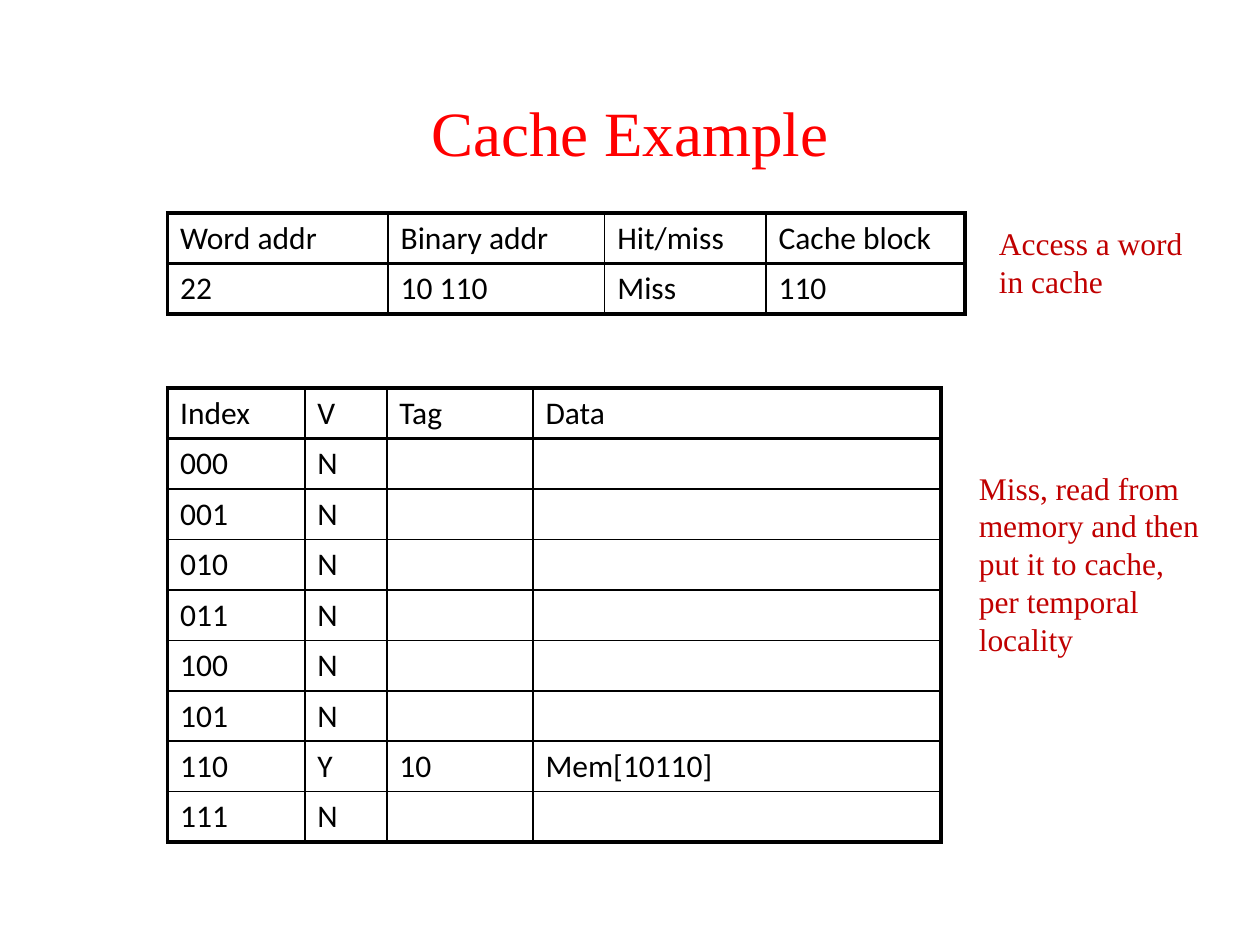
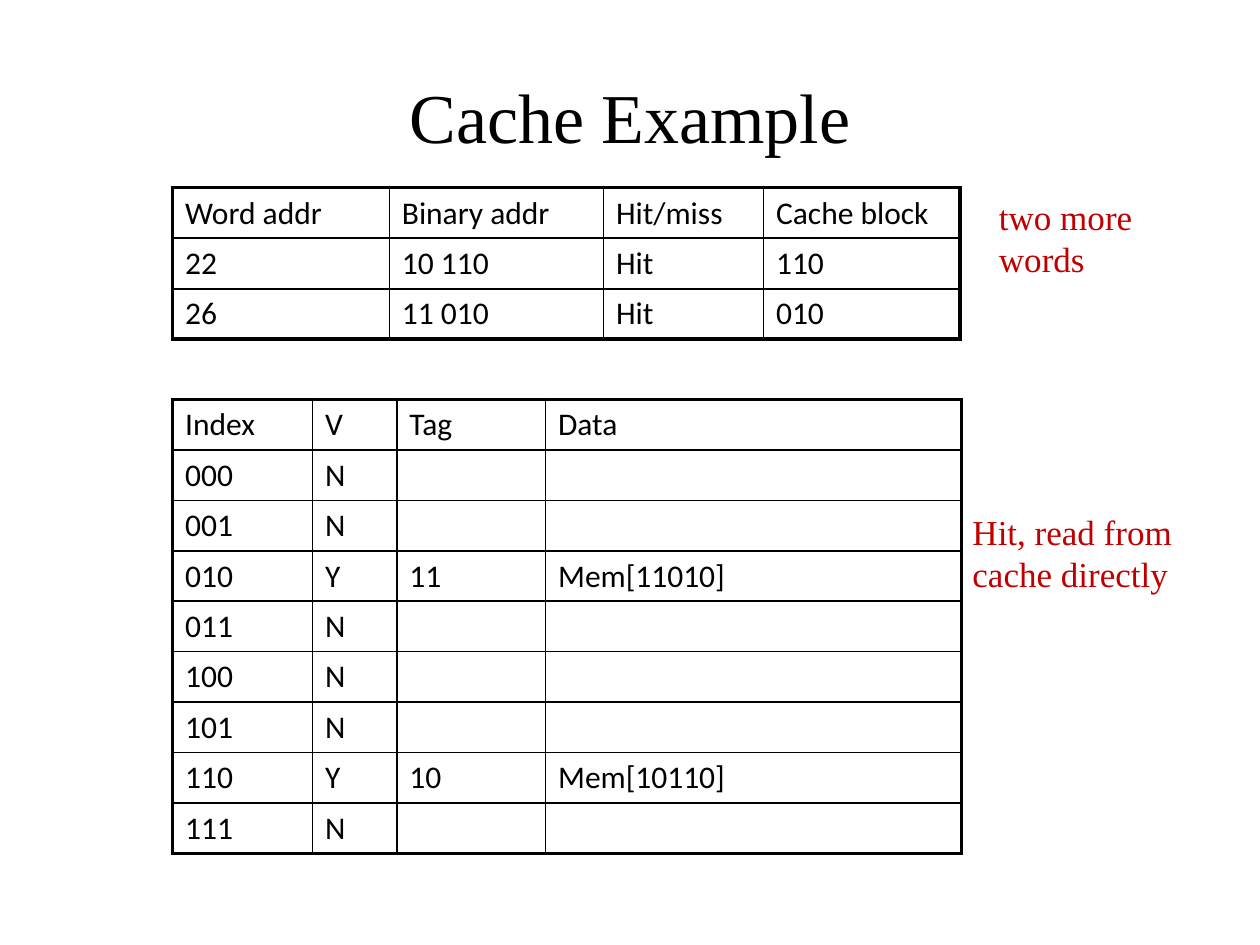
from lxml.etree import SubElement
from pptx import Presentation
from pptx.dml.color import RGBColor
from pptx.enum.text import MSO_ANCHOR as Anchor, PP_ALIGN as Align
from pptx.oxml.ns import qn
from pptx.util import Inches, Pt

BLACK = RGBColor(0x00, 0x00, 0x00)
TITLE_RED = RGBColor(0xFF, 0x00, 0x00)
NOTE_RED = RGBColor(0xC0, 0x00, 0x00)
NEW_ENTRY_BLUE = RGBColor(0x33, 0x33, 0xCC)
FONT = "Times New Roman"
TABLE_SIZE = 18
OUTER, HEADER, THIN = 2.25, 1.5, 1  # table line widths in points

ACCESS_HEADINGS = ("Word addr", "Binary addr", "Hit/miss", "Cache block")
CACHE_HEADINGS = ("Index", "V", "Tag", "Data")


def style_runs(para, size, color=BLACK, bold=False):
    for span in para.runs:
        span.font.name = FONT
        span.font.size = Pt(size)
        span.font.color.rgb = color
        span.font.bold = bold


def add_text(page, text, left, top, width, height, size, color):
    box = page.shapes.add_textbox(Inches(left), Inches(top), Inches(width), Inches(height))
    box.text_frame.word_wrap = True
    box.text_frame.text = text
    style_runs(box.text_frame.paragraphs[0], size, color)
    return box.text_frame


def add_title(page, height, size, color):
    frame = add_text(page, "Cache Example", 0.75, 0.67, 8.5, height, size, color)
    frame.vertical_anchor = Anchor.MIDDLE
    frame.paragraphs[0].alignment = Align.CENTER


def set_borders(cell, widths):
    """Draw black lines on the left, right, top and bottom of a cell."""
    properties = cell._tc.get_or_add_tcPr()
    for side, width in zip("LRTB", widths):
        line = SubElement(properties, qn(f"a:ln{side}"), w=str(Pt(width)))
        fill = SubElement(line, qn("a:solidFill"))
        SubElement(fill, qn("a:srgbClr"), val=str(BLACK))


def fill_cell(cell, text, align, highlighted):
    para = cell.text_frame.paragraphs[0]
    para.alignment = align
    if text:
        cell.text = text
        color = NEW_ENTRY_BLUE if highlighted else BLACK
        style_runs(para, TABLE_SIZE, color, highlighted)
    else:
        # An empty cell keeps the row height of the table's text size
        end = SubElement(para._p, qn("a:endParaRPr"), sz=str(TABLE_SIZE * 100))
        SubElement(end, qn("a:latin"), typeface=FONT)


def add_grid(page, rows, left, top, widths, row_height, row_line, align, highlight=None):
    """Add a table framed in thick lines; highlight is the first value of the row to stress."""
    frame = page.shapes.add_table(
        len(rows), len(widths), Inches(left), Inches(top),
        Inches(sum(widths)), Inches(row_height * len(rows)))
    table = frame.table
    table.first_row = table.horz_banding = False
    for column, width in zip(table.columns, widths):
        column.width = Inches(width)
    across = [OUTER, HEADER] + [row_line] * (len(rows) - 2) + [OUTER]
    down = [OUTER] + [THIN] * (len(widths) - 1) + [OUTER]
    for r, values in enumerate(rows):
        table.rows[r].height = Inches(row_height)
        for c, text in enumerate(values):
            cell = table.cell(r, c)
            fill_cell(cell, text, align, values[0] == highlight)
            set_borders(cell, (down[c], down[c + 1], across[r], across[r + 1]))
            cell.fill.background()


def add_access_table(page, accesses, left, top, widths, row_height):
    add_grid(page, [ACCESS_HEADINGS, *accesses], left, top, widths, row_height,
             HEADER, Align.CENTER)


def add_cache_table(page, tags, left, top, widths, row_height, highlight=None):
    """Add the eight cache blocks; tags maps the index of each valid block to its tag."""
    rows = [CACHE_HEADINGS]
    for number in range(8):
        index = format(number, "03b")
        if index in tags:
            rows.append((index, "Y", tags[index], f"Mem[{tags[index]}{index}]"))
        else:
            rows.append((index, "N", "", ""))
    add_grid(page, rows, left, top, widths, row_height, THIN, Align.LEFT, highlight)


def add_miss_page(deck):
    page = deck.slides.add_slide(deck.slide_layouts[6])
    add_title(page, 0.75, 36, TITLE_RED)
    add_cache_table(page, {"110": "10"}, 1.33, 3.08, (1.09, 0.65, 1.16, 3.24), 0.39, "110")
    add_access_table(page, [("22", "10 110", "Miss", "110")],
                     1.33, 1.69, (1.75, 1.72, 1.28, 1.58), 0.38)
    add_text(page, "Access a word in cache", 7.83, 1.73, 1.8, 0.71, 18, NOTE_RED)
    add_text(page, "Miss, read from memory and then put it to cache, per temporal locality",
             7.67, 3.67, 1.97, 1.62, 18, NOTE_RED)


def add_hit_page(deck):
    page = deck.slides.add_slide(deck.slide_layouts[6])
    add_title(page, 0.5, 40, BLACK)
    add_cache_table(page, {"010": "11", "110": "10"},
                    1.37, 3.17, (1.11, 0.67, 1.18, 3.3), 0.4)
    add_access_table(page, [("22", "10 110", "Hit", "110"), ("26", "11 010", "Hit", "010")],
                     1.37, 1.49, (1.72, 1.7, 1.27, 1.56), 0.39)
    add_text(page, "two more words", 7.83, 1.5, 1.83, 0.77, 20, NOTE_RED)
    add_text(page, "Hit, read from cache directly", 7.62, 4, 1.83, 0.77, 20, NOTE_RED)


def main():
    deck = Presentation()
    deck.slide_width, deck.slide_height = Inches(10), Inches(7.5)
    add_miss_page(deck)
    add_hit_page(deck)
    deck.save("out.pptx")


if __name__ == "__main__":
    main()
